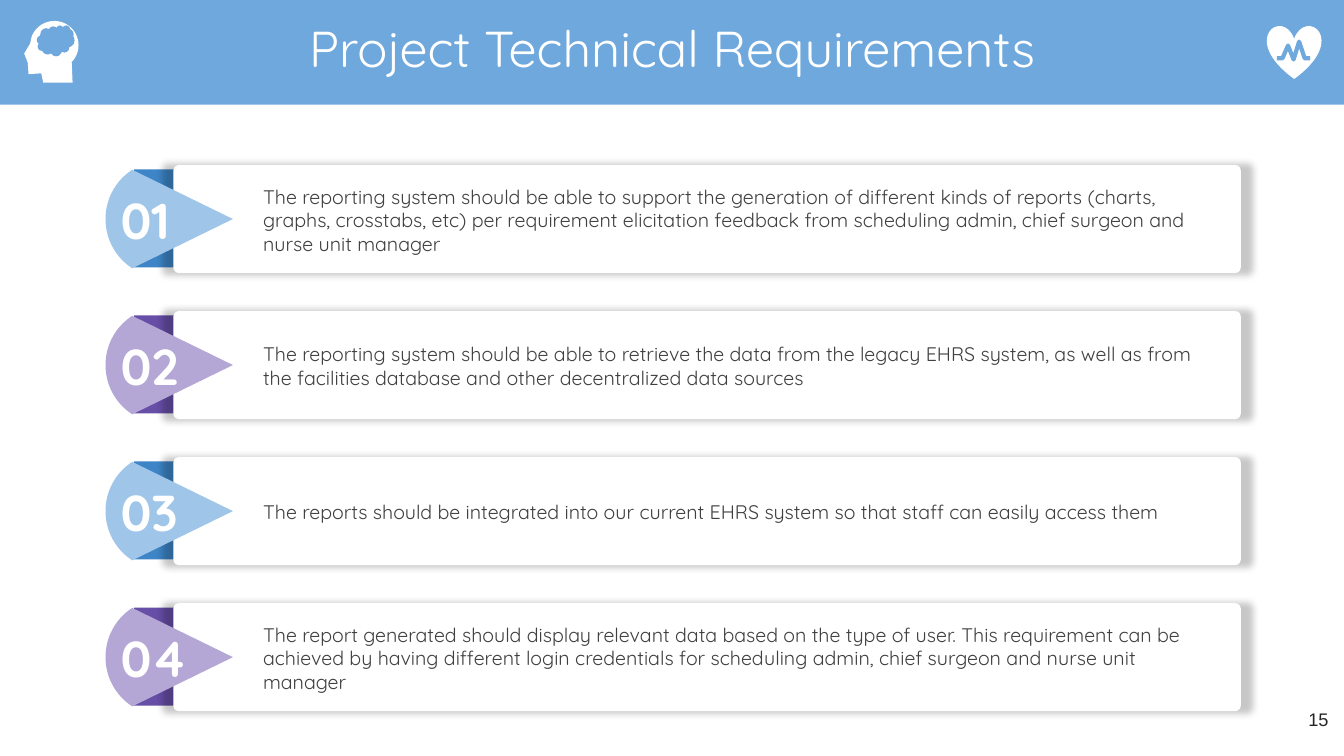
"""Build the slide that lists four numbered technical requirements of a project."""
from math import cos, radians, sin

from lxml import etree
from pptx import Presentation
from pptx.dml.color import RGBColor
from pptx.enum.shapes import MSO_SHAPE
from pptx.enum.text import MSO_ANCHOR, PP_ALIGN
from pptx.oxml.ns import qn
from pptx.util import Cm, Pt

RECTANGLE, ROUNDED = MSO_SHAPE.RECTANGLE, MSO_SHAPE.ROUNDED_RECTANGLE
HEART, CLOUD = MSO_SHAPE.HEART, MSO_SHAPE.CLOUD
TOP, MIDDLE = MSO_ANCHOR.TOP, MSO_ANCHOR.MIDDLE
LEFT, CENTER, RIGHT = PP_ALIGN.LEFT, PP_ALIGN.CENTER, PP_ALIGN.RIGHT


class Theme:
    white = RGBColor(0xFF, 0xFF, 0xFF)
    header = RGBColor(0x6F, 0xA8, 0xDC)
    body = RGBColor(0x3F, 0x3F, 0x3F)
    page = RGBColor(0x26, 0x26, 0x26)
    tabs = (RGBColor(0x3D, 0x85, 0xC6), RGBColor(0x67, 0x4E, 0xA7))
    badges = (RGBColor(0x9F, 0xC5, 0xE8), RGBColor(0xB4, 0xA7, 0xD6))
    title_font = {"name": "Quicksand", "size": Pt(36)}
    number_font = {"name": "Quicksand", "size": Pt(36), "bold": True}
    body_font = {"name": "Quicksand", "size": Pt(14)}
    page_font = {"name": "Arial", "size": Pt(13)}


REQUIREMENTS = (
    "The reporting system should be able to support the generation of different kinds of "
    "reports (charts, graphs, crosstabs, etc) per requirement elicitation feedback from "
    "scheduling admin, chief surgeon and nurse unit manager",
    "The reporting system should be able to retrieve the data from the legacy EHRS system, "
    "as well as from the facilities database and other decentralized data sources",
    "The reports should be integrated into our current EHRS system so that staff can easily "
    "access them",
    "The report generated should display relevant data based on the type of user. This "
    "requirement can be achieved by having different login credentials for scheduling admin, "
    "chief surgeon and nurse unit manager",
)
FACE = [(1.83, 2.08), (1.09, 2.08), (1.04, 1.85), (0.72, 1.87), (0.7, 1.58), (0.61, 1.35),
        (0.76, 1.1)]
PULSE_HEIGHTS = (1.47, 1.47, 1.15, 1.5, 1.05, 1.47, 1.47)

deck = Presentation()
deck.slide_width, deck.slide_height = Cm(33.87), Cm(19.05)
slide = deck.slides.add_slide(deck.slide_layouts[6])
shapes = slide.shapes


def add_text(words, box, font, colour, align=LEFT, anchor=TOP, insets=(0.25, 0.13)):
    frame = shapes.add_textbox(*map(Cm, box)).text_frame
    side, edge = map(Cm, insets)
    layout = {"word_wrap": True, "vertical_anchor": anchor, "margin_left": side,
              "margin_right": side, "margin_top": edge, "margin_bottom": edge}
    for name, value in layout.items():
        setattr(frame, name, value)
    paragraph = frame.paragraphs[0]
    paragraph.alignment = align
    run = paragraph.add_run()
    run.text = words
    for name, value in font.items():
        setattr(run.font, name, value)
    run.font.color.rgb = colour
    return paragraph


def add_rounded_outline(centre, radius, start, end, corners):
    x, y = centre
    angles = [radians(angle) for angle in range(start, end + 1, 3)]
    points = [(x + radius * cos(a), y + radius * sin(a)) for a in angles] + corners
    points = [(Cm(across), Cm(down)) for across, down in points]
    builder = shapes.build_freeform(*points[0], scale=1.0)
    builder.add_line_segments(points[1:], close=True)
    return builder.convert_to_shape()


painted, cards = [], []
card_height, row_pitch = 2.72, 3.68
for index, requirement in enumerate(REQUIREMENTS):
    top = 4.16 + index * row_pitch
    middle = top + card_height / 2
    tab = shapes.add_shape(RECTANGLE, Cm(3.38), Cm(top + 0.11), Cm(6.12), Cm(2.47))
    card = shapes.add_shape(ROUNDED, Cm(4.37), Cm(top), Cm(26.9), Cm(card_height))
    card.adjustments[0] = 0.05
    badge = add_rounded_outline((4.14, middle), 1.48, 123, 237, [(5.87, middle)])
    cards.append(card)
    painted += [(tab, Theme.tabs[index % 2]), (card, Theme.white),
                (badge, Theme.badges[index % 2])]
    add_text(f"{index + 1:02}", (2.74, top + 0.48, 3.18, 1.5), Theme.number_font,
             Theme.white, insets=(0.3, 0.13))
    add_text(requirement, (6.38, top + 0.43, 24.1, 1.9), Theme.body_font,
             Theme.body, anchor=MIDDLE)

header = shapes.add_shape(RECTANGLE, 0, 0, deck.slide_width, Cm(2.64))
title = add_text("Project Technical Requirements", (0.86, 0.3, 32.16, 2), Theme.title_font,
                 Theme.white, CENTER, MIDDLE)
title.line_spacing = 0.9
heart = shapes.add_shape(HEART, Cm(31.93), Cm(0.64), Cm(1.37), Cm(1.35))
head = add_rounded_outline((1.37, 1.14), 0.61, 200, 405, FACE)
brain = shapes.add_shape(CLOUD, Cm(0.93), Cm(0.64), Cm(0.95), Cm(0.78))
painted += [(header, Theme.header), (heart, Theme.white), (head, Theme.white),
            (brain, Theme.header)]

beats = [(Cm(32.18 + 0.14 * beat), Cm(height)) for beat, height in enumerate(PULSE_HEIGHTS)]
trace = shapes.build_freeform(*beats[0], scale=1.0)
trace.add_line_segments(beats[1:], close=False)
pulse = trace.convert_to_shape()
pulse.fill.background()
pulse.line.color.rgb = Theme.header
pulse.line.width = Pt(3)
pulse.shadow.inherit = False

add_text("15", (31.7, 17.6, 2.03, 1.45), Theme.page_font, Theme.page, RIGHT,
         insets=(0.25, 0.25))

for shape, colour in painted:
    shape.fill.solid()
    shape.fill.fore_color.rgb = colour
    shape.line.fill.background()
    shape.shadow.inherit = False

for card in cards:
    effects = card._element.spPr.find(qn("a:effectLst"))
    shade = etree.SubElement(effects, qn("a:outerShdw"), blurRad=str(Pt(5)), sx="102000",
                             sy="102000", algn="ctr", rotWithShape="0")
    black = etree.SubElement(shade, qn("a:srgbClr"), val="000000")
    etree.SubElement(black, qn("a:alpha"), val="22000")

deck.save("out.pptx")
